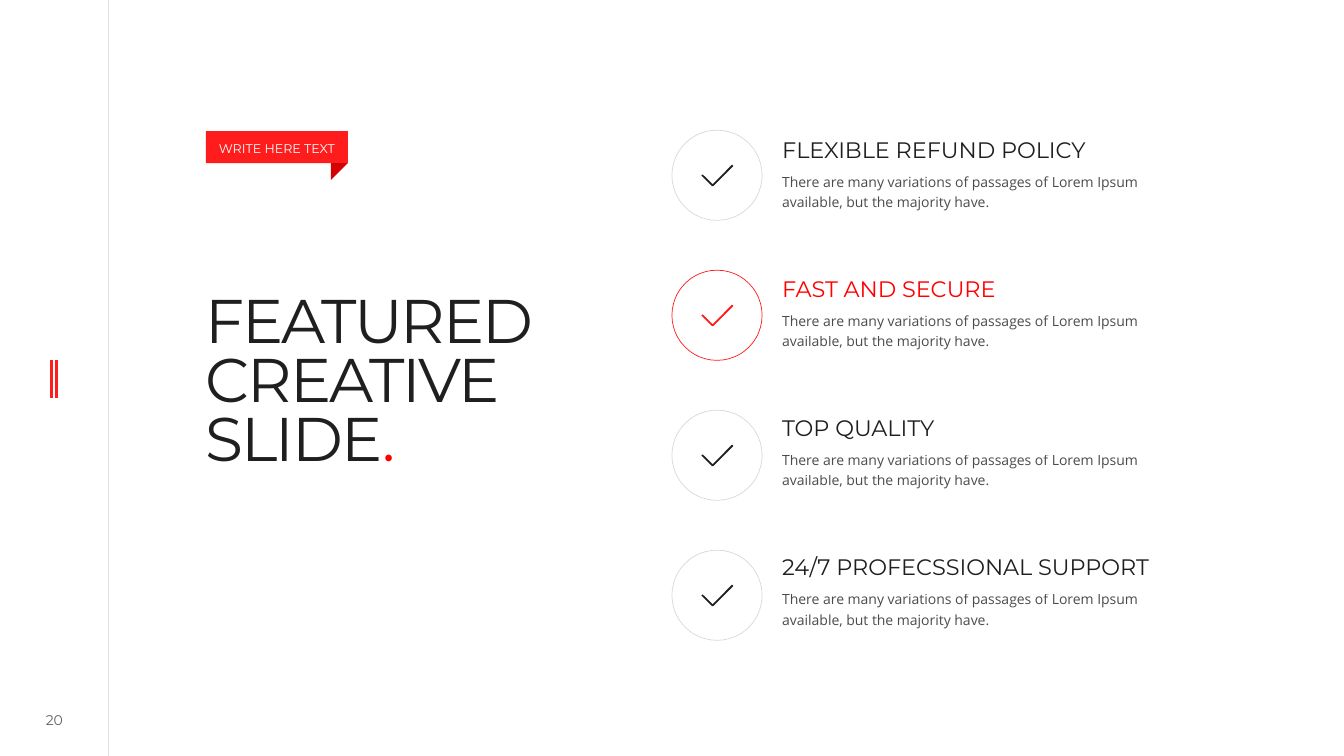
from dataclasses import dataclass

from lxml.etree import SubElement
from pptx import Presentation
from pptx.dml.color import RGBColor
from pptx.enum.shapes import MSO_CONNECTOR, MSO_SHAPE
from pptx.enum.text import MSO_ANCHOR as ANCHOR, MSO_AUTO_SIZE as AUTO, PP_ALIGN as ALIGN
from pptx.oxml.ns import qn
from pptx.util import Pt

INK, RED, BRIGHT_RED, DARK_RED, GREY, WHITE = (
    "1F1F1F", "FE1C1D", "FF0000", "D30102", "D9D9D9", "FFFFFF")
HEAD_FONT, BODY_FONT = "Montserrat", "Open Sans"
BLURB = ("There are many variations of passages of Lorem Ipsum "
         "available, but the majority have.")
CHECK = [(21.9, 0), (8.1, 14), (0.9, 7), (0, 7.8), (7.6, 15.4),
         (8.5, 15.4), (22.6, 1.2), (22.6, 0.6)]
CIRCLE_TOP, CIRCLE_PITCH = 93, 100
TEXT_TOP, TEXT_PITCH = 98.6, 99.4


@dataclass
class Feature:
    title: str
    title_color: str = INK
    check_color: str = INK
    ring_color: str = GREY


@dataclass
class Rule:
    x: float
    top: float
    bottom: float
    color: str
    width: float
    alpha: int = 100


FEATURES = [
    Feature("FLEXIBLE REFUND POLICY"),
    Feature("FAST AND SECURE", BRIGHT_RED, RED, RED),
    Feature("TOP QUALITY"),
    Feature("24/7 PROFECSSIONAL SUPPORT"),
]
RULES = [
    Rule(77.6, 0, 540, INK, 0.5, 20),
    Rule(36.6, 257.2, 284.6, RED, 2),
    Rule(40.6, 257.2, 284.6, RED, 2),
]


def paint(fill, color: str, owner=None, alpha: int = 100) -> None:
    fill.solid()
    fill.fore_color.rgb = RGBColor.from_string(color)
    if alpha < 100:
        clr = next(owner.iter(qn("a:srgbClr")))
        SubElement(clr, qn("a:alpha"), val=str(alpha * 1000))


def add_run(p, text: str, *, size: float, color: str, font: str = HEAD_FONT,
            alpha: int = 100, spacing: float = 0) -> None:
    for i, line in enumerate(text.split("\n")):
        if i:
            p.add_line_break()
        r = p.add_run()
        r.text = line
        r.font.size, r.font.name = Pt(size), font
        paint(r.font.fill, color, r._r, alpha)
        if spacing:
            r.font._element.set("spc", str(int(spacing * 100)))


def set_frame(tf, *, top: float = 0, bottom: float = 0, anchor=ANCHOR.TOP,
              auto=AUTO.NONE, align=ALIGN.LEFT, leading: float = 1.0):
    tf.word_wrap, tf.auto_size, tf.vertical_anchor = True, auto, anchor
    tf.margin_left = tf.margin_right = 0
    tf.margin_top, tf.margin_bottom = Pt(top), Pt(bottom)
    p = tf.paragraphs[0]
    p.alignment, p.line_spacing = align, leading
    return p


def add_text(s, x: float, y: float, w: float, h: float, text: str, *,
             frame: dict, **fmt) -> None:
    sp = s.shapes.add_textbox(Pt(x), Pt(y), Pt(w), Pt(h))
    add_run(set_frame(sp.text_frame, **frame), text, **fmt)


def add_shape(s, kind, x: float, y: float, w: float, h: float,
              fill: str = "", line: str = ""):
    sp = s.shapes.add_shape(kind, Pt(x), Pt(y), Pt(w), Pt(h))
    return style(sp, fill, line)


def style(sp, fill: str = "", line: str = ""):
    sp.shadow.inherit = False
    for part, color in ((sp.fill, fill), (sp.line.fill, line)):
        if color:
            paint(part, color)
        else:
            part.background()
    if line:
        sp.line.width = Pt(0.5)
    return sp


def add_rule(s, rule: Rule) -> None:
    cn = s.shapes.add_connector(MSO_CONNECTOR.STRAIGHT, Pt(rule.x), Pt(rule.top),
                                Pt(rule.x), Pt(rule.bottom))
    cn.line.width = Pt(rule.width)
    paint(cn.line.fill, rule.color, cn._element, rule.alpha)
    SubElement(cn._element.spPr, qn("a:effectLst"))


def add_check(s, x: float, y: float, color: str) -> None:
    (start, *rest) = [(Pt(x + dx), Pt(y + dy)) for dx, dy in CHECK]
    fb = s.shapes.build_freeform(*start, scale=1.0)
    fb.add_line_segments(rest, close=True)
    style(fb.convert_to_shape(), color)


def add_feature(s, i: int, feature: Feature) -> None:
    y = CIRCLE_TOP + i * CIRCLE_PITCH
    add_shape(s, MSO_SHAPE.OVAL, 480, y, 64.4, 64.4, line=feature.ring_color)
    add_check(s, 501, y + 24.6, feature.check_color)
    y = TEXT_TOP + i * TEXT_PITCH
    pad = dict(top=3.6, bottom=3.6, auto=AUTO.SHAPE_TO_FIT_TEXT)
    add_text(s, 558.7, y, 282, 22.3, feature.title, size=16,
             color=feature.title_color, frame=dict(pad, leading=0.7))
    add_text(s, 558.7, y + 19.4, 282, 36, BLURB, size=10, color=INK, alpha=80,
             font=BODY_FONT, frame=dict(pad, leading=1.2))


def add_title(s) -> None:
    sp = s.shapes.title
    sp.left, sp.top, sp.width, sp.height = Pt(147), Pt(196.6), Pt(332.6), Pt(146.2)
    p = set_frame(sp.text_frame, top=15.1, leading=0.8)
    fmt = dict(size=44, spacing=-1.5)
    add_run(p, "FEATURED\nCREATIVE\nSLIDE", color=INK, **fmt)
    add_run(p, ".", color=BRIGHT_RED, **fmt)


def add_tag(s) -> None:
    sp = add_shape(s, MSO_SHAPE.RECTANGLE, 147, 93.6, 101.5, 23, RED)
    p = set_frame(sp.text_frame, top=5, bottom=3.6, anchor=ANCHOR.MIDDLE,
                  align=ALIGN.CENTER)
    add_run(p, "WRITE HERE TEXT", size=9, color=WHITE)
    fold = add_shape(s, MSO_SHAPE.RIGHT_TRIANGLE, 236.3, 116.6, 12.2, 12.2, DARK_RED)
    fold._element.spPr.find(qn("a:xfrm")).set("flipV", "1")


def main() -> None:
    prs = Presentation()
    prs.slide_width, prs.slide_height = Pt(960), Pt(540)
    s = prs.slides.add_slide(prs.slide_layouts[5])
    paint(s.background.fill, WHITE)
    for rule in RULES:
        add_rule(s, rule)
    add_text(s, 18.7, 505.4, 40.3, 18, "20", size=10, color=INK, alpha=70,
             frame=dict(anchor=ANCHOR.MIDDLE, align=ALIGN.CENTER))
    add_title(s)
    for i, feature in enumerate(FEATURES):
        add_feature(s, i, feature)
    add_tag(s)
    prs.save("out.pptx")


if __name__ == "__main__":
    main()
